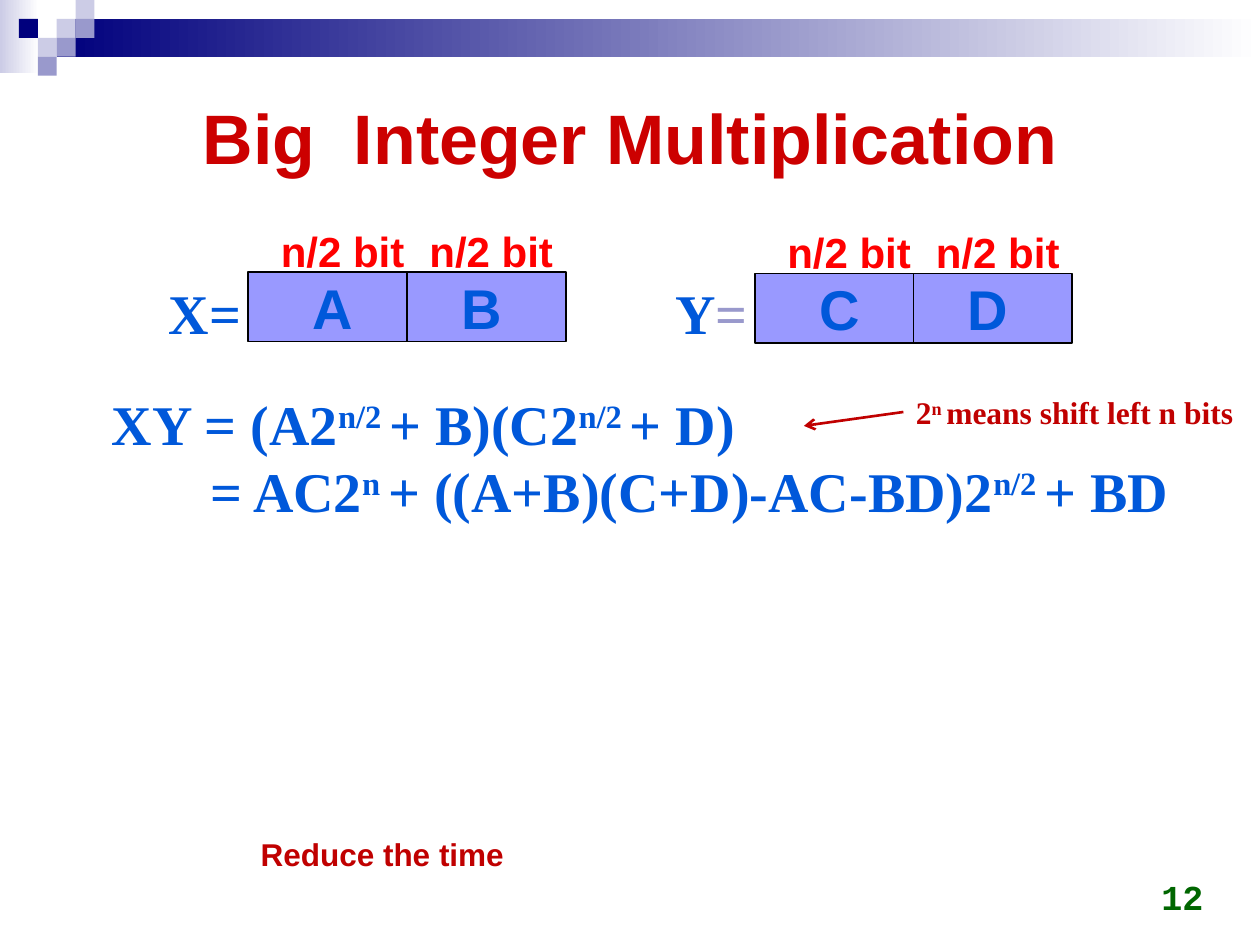
from lxml.etree import SubElement
from pptx import Presentation
from pptx.dml.color import RGBColor
from pptx.enum.shapes import MSO_CONNECTOR as Link, MSO_SHAPE as Preset
from pptx.enum.text import MSO_ANCHOR as Anchor, PP_ALIGN as Align
from pptx.oxml.ns import qn
from pptx.util import Inches, Pt

COLORS = {
    "navy": "00007D", "mist": "CCCCE6", "lilac": "9999CC", "white": "FFFFFF",
    "box": "9999FF", "black": "000000", "blue": "0058DA", "red": "FF0000",
    "title": "CC0000", "note": "C00000", "green": "006600",
}
SANS, SERIF, MONO = "Arial", "Times New Roman", "Courier New"
WIDTH, HEIGHT = 10, 7.5

UNIT = 0.15
BANDS = [(0, 0, 0.31, 0.58, "mist"), (3 * UNIT, UNIT, WIDTH - 3 * UNIT, 2 * UNIT, "navy")]
MOSAIC = [
    (3, 1, "mist"), (4, 0, "mist"), (4, 1, "lilac"), (2, 2, "mist"),
    (1, 1, "navy"), (3, 2, "lilac"), (2, 3, "lilac"),
]

NUMBERS = [
    (1.97, 2.16, [("X=", "blue")], "A\tB"),
    (5.99, 2.17, [("Y", "blue"), ("=", "lilac")], "C\tD"),
]
HALF_LABEL = "n/2 bit"
BOX_WIDTH, BOX_HEIGHT = 2.52, 0.55
LETTER_INSET, LETTER_STEP = 0.51, 1.18

EQUATION = [
    (0, ["XY = (A2", "^n/2 ", "+ B)(C2", "^n/2 ", "+ D)"]),
    (0.78, ["= AC2", "^n ", "+ ((A+B)(C+D)-AC-BD)2", "^n/2 ", "+ BD"]),
]
SHIFT_NOTE = ["2", "^n ", "means shift left n bits"]


def rgb(color):
    return RGBColor.from_string(COLORS[color])


def add_run(paragraph, text, size, font, color):
    run = paragraph.add_run()
    run.text = text.removeprefix("^")
    run.font.size, run.font.name, run.font.bold = Pt(size), font, True
    run.font.color.rgb = rgb(color)
    if text.startswith("^"):
        run.font._element.set("baseline", "30000")


def add_text(place, lines, size, font, color, align=Align.LEFT, anchor=Anchor.TOP, wrap=False):
    frame = slide.shapes.add_textbox(*map(Inches, place)).text_frame
    frame.word_wrap, frame.vertical_anchor = wrap, anchor
    for number, (indent, parts) in enumerate(lines):
        paragraph = frame.add_paragraph() if number else frame.paragraphs[0]
        paragraph.alignment = align
        if indent:
            paragraph._p.get_or_add_pPr().set("marL", str(Inches(indent)))
        for part in parts:
            text, shade = part if isinstance(part, tuple) else (part, color)
            add_run(paragraph, text, size, font, shade)


def add_rect(place, color, fade=False, outline=False):
    rect = slide.shapes.add_shape(Preset.RECTANGLE, *map(Inches, place))
    rect.shadow.inherit = False
    if fade:
        rect.fill.gradient()
        rect.fill.gradient_angle = 0
        for stop, shade, position in zip(rect.fill.gradient_stops, (color, "white"), (0, 1)):
            stop.color.rgb, stop.position = rgb(shade), position
    else:
        rect.fill.solid()
        rect.fill.fore_color.rgb = rgb(color)
    if outline:
        rect.line.color.rgb, rect.line.width = rgb("black"), Pt(1)
    else:
        rect.line.fill.background()
    return rect


def add_line(ends, color, weight, arrow=False):
    line = slide.shapes.add_connector(Link.STRAIGHT, *map(Inches, ends))
    line.line.color.rgb, line.line.width = rgb(color), Pt(weight)
    if arrow:
        SubElement(line.line._get_or_add_ln(), qn("a:tailEnd"), type="arrow")
    SubElement(line._element.spPr, qn("a:effectLst"))


def add_number(left, top, name, halves):
    box = add_rect((left, top, BOX_WIDTH, BOX_HEIGHT), "box", outline=True)
    frame = box.text_frame
    frame.margin_left, frame.vertical_anchor = Inches(LETTER_INSET), Anchor.MIDDLE
    letters = frame.paragraphs[0]
    letters.alignment = Align.LEFT
    tabs = SubElement(letters._p.get_or_add_pPr(), qn("a:tabLst"))
    SubElement(tabs, qn("a:tab"), pos=str(Inches(LETTER_STEP)), algn="l")
    add_run(letters, halves, 32, SANS, "blue")
    for half in range(2):
        label_left = left + 0.16 + half * LETTER_STEP
        add_text((label_left, top - 0.42, 1.19, 0.51), [(0, [HALF_LABEL])], 24, SANS, "red")
    add_text((left - 0.73, 2.16, 0.78, 0.63), [(0, name)], 32, SERIF, "blue")
    middle = left + BOX_WIDTH / 2
    add_line((middle, top, middle, top + BOX_HEIGHT), "black", 1)


deck = Presentation()
deck.slide_width, deck.slide_height = Inches(WIDTH), Inches(HEIGHT)
slide = deck.slides.add_slide(deck.slide_layouts[6])

for *place, color in BANDS:
    add_rect(place, color, fade=True)
for column, row, color in MOSAIC:
    add_rect((column * UNIT, row * UNIT, UNIT, UNIT), color)

add_text((0.5, 0.5, 9, 1.16), [(0, ["Big  Integer Multiplication"])], 40, SANS, "title",
         Align.CENTER, Anchor.MIDDLE, True)
add_text((7.32, 6.83, 2.33, 0.5), [(0, ["12"])], 20, MONO, "green",
         Align.RIGHT, Anchor.BOTTOM, True)
for number in NUMBERS:
    add_number(*number)
add_text((0.79, 3.04, 8.79, 1.18), EQUATION, 32, SERIF, "blue", wrap=True)
add_text((1.97, 6.58, 2.15, 0.4), [(0, ["Reduce the time"])], 18, SANS, "note")
add_text((7.17, 3.07, 2.78, 0.4), [(0, SHIFT_NOTE)], 18, SERIF, "note")
add_line((7.17, 3.27, 6.38, 3.38), "note", 1.5, arrow=True)

deck.save("out.pptx")
